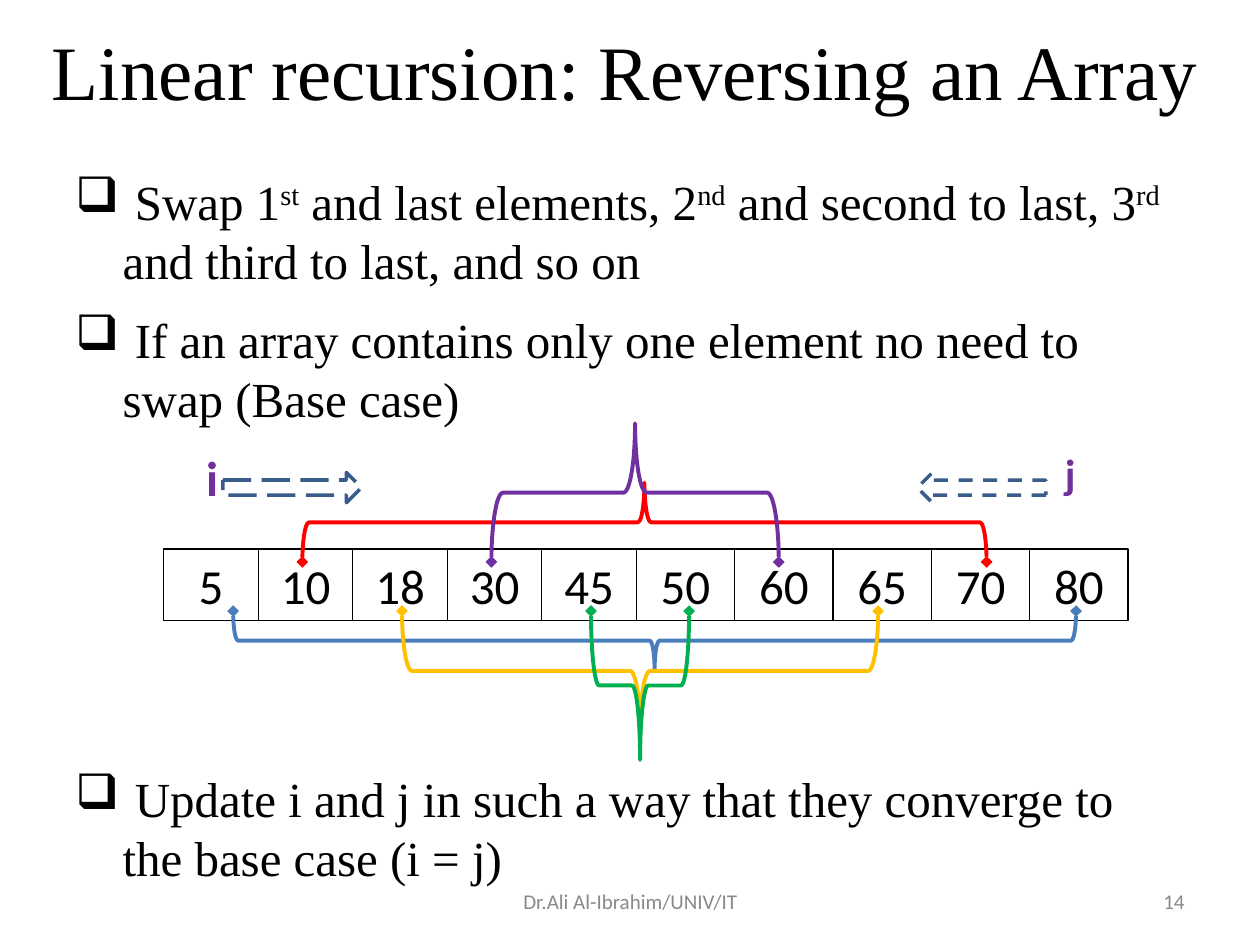
import pptx
import pptx.util
import pptx.dml.color
import pptx.enum.dml
import pptx.enum.shapes
import pptx.enum.text
import pptx.oxml
import pptx.oxml.ns

Pt = pptx.util.Pt
Align = pptx.enum.text.PP_ALIGN
Anchor = pptx.enum.text.MSO_ANCHOR
Shape = pptx.enum.shapes.MSO_SHAPE
Dash = pptx.enum.dml.MSO_LINE

BLACK, PURPLE, GREY, ARROW_BLUE = "000000", "7030A0", "898989", "385D8A"
SERIF, SANS = "Times New Roman", "Calibri"
VALUES = [5, 10, 18, 30, 45, 50, 60, 65, 70, 80]
BULLETS = [
    (0, [(" Swap 1", 0), ("st", 1), (" and last elements, 2", 0), ("nd", 1),
         (" and second to last, 3", 0), ("rd", 1),
         (" and third to last, and so on", 0)]),
    (0, [(" If an array contains only one element no need to swap (Base case)", 0)]),
    (183, [(" Update i and j in such a way that they converge to the base case (i = j)", 0)]),
]
BRACES = [
    (133.2, 614.9, 349.2, 383, "4A7EBB"),
    (172.8, 563.8, 321.1, 275.8, "FF0000"),
    (229.7, 501.8, 349.2, 417.6, "FFC000"),
    (337.7, 393.8, 349.2, 434.2, "00B050"),
    (280.8, 445, 321.1, 241.9, PURPLE),
]


def paint(color_format, value):
    color_format.rgb = pptx.dml.color.RGBColor.from_string(value)


def add_span(para, text, size, font=SANS, color=BLACK, bold=False):
    span = para.add_run()
    span.text = text
    span.font.size = Pt(size)
    span.font.name = font
    span.font.bold = bold
    paint(span.font.color, color)
    return span


def add_title(page, text):
    title = page.shapes.title
    title.left, title.top, title.width, title.height = Pt(14.4), Pt(9.4), Pt(686), Pt(61)
    title.text_frame.vertical_anchor = Anchor.MIDDLE
    para = title.text_frame.paragraphs[0]
    para.alignment = Align.CENTER
    add_span(para, text, 44, SERIF)


def add_text_box(page, left, top, width, height):
    box = page.shapes.add_textbox(Pt(left), Pt(top), Pt(width), Pt(height))
    box.text_frame.word_wrap = True
    return box.text_frame


def add_label(page, text, left, top, width, height, size, color,
              bold=False, align=Align.CENTER, anchor=Anchor.TOP):
    frame = add_text_box(page, left, top, width, height)
    frame.vertical_anchor = anchor
    para = frame.paragraphs[0]
    para.alignment = align
    add_span(para, text, size, color=color, bold=bold)


def add_bullet_mark(para):
    properties = para._p.get_or_add_pPr()
    properties.set("marL", str(Pt(27)))
    properties.set("indent", str(-Pt(27)))
    namespace = pptx.oxml.ns.nsdecls("a")
    for markup in (f'<a:buClr {namespace}><a:srgbClr val="{BLACK}"/></a:buClr>',
                   f'<a:buChar {namespace} char="❑"/>'):
        properties.append(pptx.oxml.parse_xml(markup))


def add_bullets(page, bullets):
    frame = add_text_box(page, 36, 94.3, 648, 420)
    for number, (gap, spans) in enumerate(bullets):
        para = frame.add_paragraph() if number else frame.paragraphs[0]
        para.space_before = Pt(gap)
        para.space_after = Pt(12)
        add_bullet_mark(para)
        for text, raised in spans:
            span = add_span(para, text, 28, SERIF)
            if raised:
                span.font._element.set("baseline", "30000")


def add_outline(page, kind, left, top, width, height, color, weight):
    shape = page.shapes.add_shape(kind, Pt(left), Pt(top), Pt(width), Pt(height))
    shape.shadow.inherit = False
    shape.fill.background()
    paint(shape.line.color, color)
    shape.line.width = Pt(weight)
    return shape


def add_array(page, values):
    left = 93.6
    for index, value in enumerate(values):
        width = 54 if index < 5 else 56.2
        cell = add_outline(page, Shape.RECTANGLE, left, 313.8, width, 41, BLACK, 0.75)
        cell.text_frame.vertical_anchor = Anchor.TOP
        para = cell.text_frame.paragraphs[0]
        para.alignment = Align.CENTER
        add_span(para, str(value), 28)
        left += width


def add_brace(page, start, end, base, tip, color):
    depth, length = abs(tip - base), end - start
    brace = add_outline(page, Shape.RIGHT_BRACE,
                        (start + end - depth) / 2, (base + tip - length) / 2,
                        depth, length, color, 2.25)
    brace.rotation = 90 if tip > base else 270
    line = brace.line._get_or_add_ln()
    for end_name in ("headEnd", "tailEnd"):
        line.append(pptx.oxml.parse_xml(
            f'<a:{end_name} {pptx.oxml.ns.nsdecls("a")} type="diamond"/>'))


def add_arrow(page, left, width, dash, rotation=0):
    arrow = add_outline(page, Shape.RIGHT_ARROW, left, 270, width, 17.3, ARROW_BLUE, 2)
    arrow.line.dash_style = dash
    arrow.rotation = rotation


def main():
    deck = pptx.Presentation()
    deck.slide_width, deck.slide_height = Pt(720), Pt(540)
    page = deck.slides.add_slide(deck.slide_layouts[5])
    add_title(page, "Linear recursion: Reversing an Array")
    add_bullets(page, BULLETS)
    add_array(page, VALUES)
    add_label(page, "i", 93.6, 252, 55.4, 41, 28, PURPLE, bold=True)
    add_label(page, "j", 583.9, 252, 55.4, 36, 24, PURPLE, bold=True)
    for brace in BRACES:
        add_brace(page, *brace)
    add_arrow(page, 127.4, 79.2, Dash.LONG_DASH)
    add_arrow(page, 524.2, 73.4, Dash.DASH, 180)
    add_label(page, "14", 516.2, 500.4, 167.8, 28.8, 12, GREY,
              align=Align.RIGHT, anchor=Anchor.MIDDLE)
    add_label(page, "Dr.Ali Al-Ibrahim/UNIV/IT", 246.2, 500.4, 228.2, 28.8, 12, GREY,
              anchor=Anchor.MIDDLE)
    deck.save("out.pptx")


if __name__ == "__main__":
    main()
